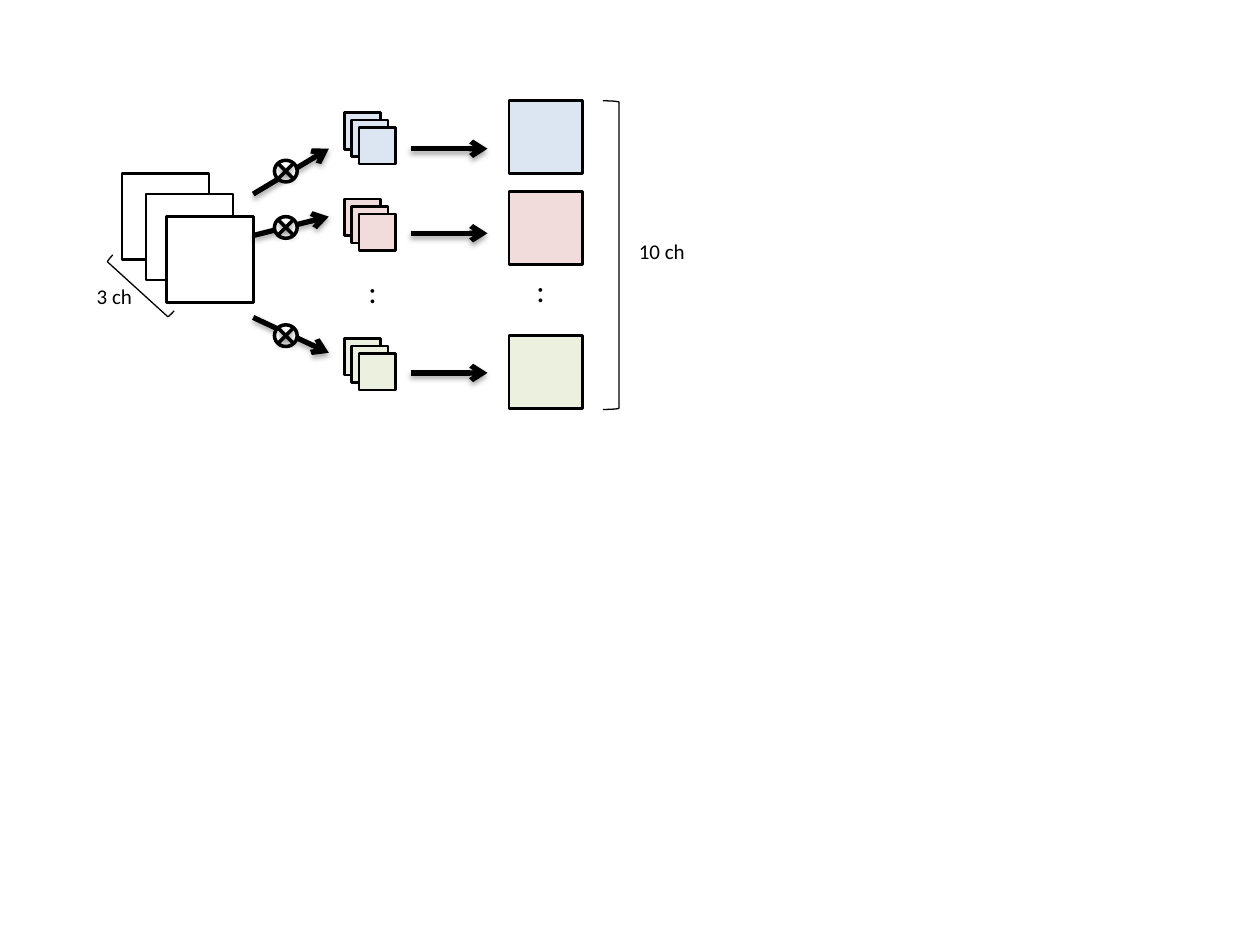
import pptx
import pptx.util
import pptx.dml.color
import pptx.enum.shapes
import pptx.enum.text
import pptx.oxml
import pptx.oxml.ns

Pt = pptx.util.Pt
RGBColor = pptx.dml.color.RGBColor
Shape = pptx.enum.shapes.MSO_SHAPE

BLACK = RGBColor(0x00, 0x00, 0x00)
WHITE = RGBColor(0xFF, 0xFF, 0xFF)
BLUE = RGBColor(0xDC, 0xE6, 0xF2)
RED = RGBColor(0xF2, 0xDC, 0xDB)
GREEN = RGBColor(0xEB, 0xF1, 0xDE)


class ConvolutionDiagram:
    """Draws the convolution diagram elements in one style on one page."""

    def __init__(self, page):
        self.page = page
        self.font = {"name": "Calibri"}
        self.frame = {"word_wrap": False,
                      "auto_size": pptx.enum.text.MSO_AUTO_SIZE.SHAPE_TO_FIT_TEXT}

    def apply(self, target, values):
        for name, value in values.items():
            setattr(target, name, value)

    def outline(self, item, weight):
        item.line.color.rgb = BLACK
        item.line.width = Pt(weight)

    def shape(self, kind, left, top, width, height, fill=None, weight=1.5,
              rotation=0, parent=None):
        box = (parent or self.page).shapes.add_shape(
            kind, Pt(left), Pt(top), Pt(width), Pt(height))
        self.apply(box, {"rotation": rotation})
        box.shadow.inherit = False
        if fill is None:
            box.fill.background()
        else:
            box.fill.solid()
            box.fill.fore_color.rgb = fill
        self.outline(box, weight)

    def label(self, text, left, top, width, height, size):
        box = self.page.shapes.add_textbox(Pt(left), Pt(top), Pt(width), Pt(height))
        self.apply(box.text_frame, self.frame)
        span = box.text_frame.paragraphs[0].add_run()
        span.text = text
        self.apply(span.font, {**self.font, "size": Pt(size)})
        span.font.color.rgb = BLACK

    def line(self, x1, y1, x2, y2, weight=3, arrow=True, opacity=35, distance=1.8,
             parent=None):
        link = (parent or self.page).shapes.add_connector(
            pptx.enum.shapes.MSO_CONNECTOR.STRAIGHT, Pt(x1), Pt(y1), Pt(x2), Pt(y2))
        self.outline(link, weight)
        namespace = pptx.oxml.ns.nsdecls("a")
        properties = link.line._get_or_add_ln().getparent()
        if arrow:
            link.line._get_or_add_ln().append(pptx.oxml.parse_xml(
                f'<a:tailEnd {namespace} type="arrow"/>'))
        properties.append(pptx.oxml.parse_xml(
            f'<a:effectLst {namespace}><a:outerShdw blurRad="{Pt(3.1)}" '
            f'dist="{Pt(distance)}" dir="5400000" rotWithShape="0">'
            f'<a:srgbClr val="{BLACK}"><a:alpha val="{opacity * 1000}"/></a:srgbClr>'
            '</a:outerShdw></a:effectLst>'))

    def kernel(self, left, top, fill, size=20.9, step=4.2):
        group = self.page.shapes.add_group_shape()
        for layer in range(3):
            self.shape(Shape.RECTANGLE, left + layer * step, top + layer * step,
                       size, size, fill, parent=group)

    def convolution(self, left, top):
        group = self.page.shapes.add_group_shape()
        self.shape(Shape.OVAL, left, top, 13, 12.4, WHITE, 2, parent=group)
        near, far = left + 2.2, left + 10.8
        for start, end in ((far, near), (near, far)):
            self.line(start, top + 1.9, end, top + 10.5, 2, False, 38, 1.6, group)


deck = pptx.Presentation()
deck.slide_width, deck.slide_height = Pt(720), Pt(540)
page = deck.slides.add_slide(deck.slide_layouts[6])
diagram = ConvolutionDiagram(page)

for left, top in ((69.8, 99.2), (83.5, 110.9), (95.2, 123.8)):
    diagram.shape(Shape.RECTANGLE, left, top, 49.7, 49.2, WHITE)

diagram.shape(Shape.RIGHT_BRACKET, 77.8, 139.7, 5, 47.5, weight=0.75, rotation=132.3)
diagram.label("3 ch", 48.2, 158.6, 34.6, 21.6, 12)
diagram.shape(Shape.RIGHT_BRACKET, 344.5, 57.6, 9.2, 176.4, weight=0.75)
diagram.label("10 ch", 358, 132.7, 41, 21.6, 12)
for left, top in ((203.5, 152.2), (299.4, 151.4)):
    diagram.label(":", left, top, 19.4, 28.8, 18)

CHANNELS = (
    (BLUE, 57.4, 64.4, 85, 110.9, 85, 91.6),
    (RED, 109.4, 113.8, 133.3, 134.6, 123.8, 123.8),
    (GREEN, 191.7, 193.5, 213.1, 181.4, 201.6, 185.6),
)
for fill, map_top, kernel_top, arrow_y, start_y, end_y, circle_top in CHANNELS:
    diagram.kernel(196.7, kernel_top, fill)
    diagram.shape(Shape.RECTANGLE, 290.9, map_top, 41.9, 41.9, fill)
    diagram.line(234.7, arrow_y, 278.6, arrow_y)
    diagram.line(144.7, start_y, 187.9, end_y)
    diagram.convolution(156.8, circle_top)

deck.save("out.pptx")
